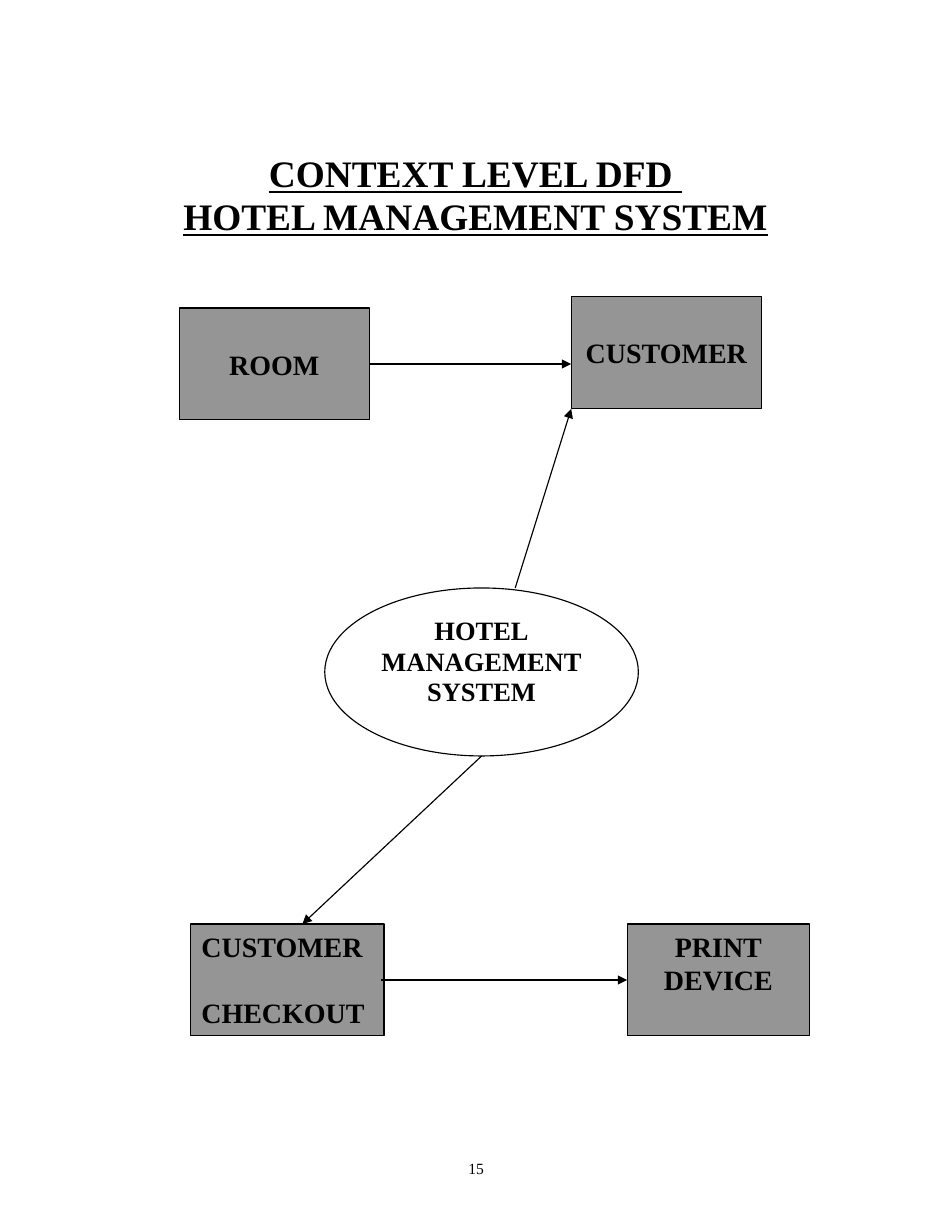
import pptx
import pptx.util
import pptx.dml.color
import pptx.enum.shapes
import pptx.enum.text
import pptx.oxml
import pptx.oxml.ns

FONT = "Times New Roman"
BLACK, GREY, WHITE = "000000", "959595", "FFFFFF"
COLS, ROWS = 85, 110
SHAPE = pptx.enum.shapes.MSO_SHAPE
ALIGN = pptx.enum.text.PP_ALIGN
ANCHOR = pptx.enum.text.MSO_ANCHOR

prs = pptx.Presentation()
prs.slide_width = pptx.util.Inches(8.5)
prs.slide_height = pptx.util.Inches(11)


def rgb(value):
    return pptx.dml.color.RGBColor.from_string(value)


def grid(col, row):
    return round(prs.slide_width * col / COLS), round(prs.slide_height * row / ROWS)


def write(sp, text, size=18, bold=True, underline=False, align=ALIGN.CENTER,
          anchor=ANCHOR.MIDDLE, spacing=None, gap=0, insets=(0, 0, 0, 0), wrap=False):
    tf = sp.text_frame
    tf.word_wrap = wrap
    tf.auto_size = pptx.enum.text.MSO_AUTO_SIZE.NONE
    tf.vertical_anchor = anchor
    tf.margin_left, tf.margin_top, tf.margin_right, tf.margin_bottom = (
        pptx.util.Inches(v) for v in insets)
    for i, line in enumerate(text.split("\n")):
        p = tf.add_paragraph() if i else tf.paragraphs[0]
        p.alignment = align
        p.space_before = pptx.util.Pt(gap if i else 0)
        if spacing:
            p.line_spacing = spacing
        r = p.add_run()
        r.text = line
        f = r.font
        f.name, f.size, f.bold, f.underline = FONT, pptx.util.Pt(size), bold, underline
        f.color.rgb = rgb(BLACK)


def node(s, kind, box, fill, text, **fmt):
    col, row, width, height = box
    sp = s.shapes.add_shape(kind, *grid(col, row), *grid(width, height))
    sp.shadow.inherit = False
    sp.fill.solid()
    sp.fill.fore_color.rgb = rgb(fill)
    sp.line.color.rgb = rgb(BLACK)
    sp.line.width = pptx.util.Pt(0.75)
    write(sp, text, wrap=True, **fmt)


def arrow(s, start, end):
    c = s.shapes.add_connector(pptx.enum.shapes.MSO_CONNECTOR.STRAIGHT,
                               *grid(*start), *grid(*end))
    c.line.color.rgb = rgb(BLACK)
    c.line.width = pptx.util.Pt(0.75)
    ns = pptx.oxml.ns.nsdecls("a")
    c.line._get_or_add_ln().append(
        pptx.oxml.parse_xml(f'<a:tailEnd {ns} type="triangle"/>'))
    c._element.spPr.append(pptx.oxml.parse_xml(f"<a:effectLst {ns}/>"))


def heading(s, box):
    col, row, width, height = box
    sp = s.shapes.title
    sp.left, sp.top = grid(col, row)
    sp.width, sp.height = grid(width, height)
    write(sp, "CONTEXT LEVEL DFD \nHOTEL MANAGEMENT SYSTEM", size=24, underline=True,
          anchor=ANCHOR.TOP, spacing=pptx.util.Pt(27.6), insets=(0, 0.04, 0, 0))


def diagram(s, box):
    left, top = box

    def at(col, row, *size):
        return (left + col, top + row, *size)

    line = pptx.util.Pt(21)
    lower = dict(anchor=ANCHOR.TOP, spacing=line)
    node(s, SHAPE.RECTANGLE, at(35, 0, 17, 10), GREY, "CUSTOMER")
    node(s, SHAPE.RECTANGLE, at(0, 1, 17, 10), GREY, "ROOM")
    node(s, SHAPE.RECTANGLE, at(1, 56, 17.3, 10), GREY, "CUSTOMER\nCHECKOUT",
         align=ALIGN.LEFT, gap=21, insets=(0.1, 0.06, 0, 0), **lower)
    node(s, SHAPE.RECTANGLE, at(40, 56, 16.3, 10), GREY, "PRINT\nDEVICE",
         insets=(0, 0.06, 0, 0), **lower)
    node(s, SHAPE.OVAL, at(13, 26, 28, 15), WHITE, "HOTEL\nMANAGEMENT\nSYSTEM",
         size=17, spacing=0.97, insets=(0, 0, 0, 0.18))
    for start, end in (((17, 6), (35, 6)), ((30, 26), (35, 10)),
                       ((27, 41), (11, 56)), ((18, 61), (40, 61))):
        arrow(s, at(*start), at(*end))


def page_number(s, box):
    col, row, width, height = box
    sp = s.shapes.add_textbox(*grid(col, row), *grid(width, height))
    write(sp, "15", size=10, bold=False)


s = prs.slides.add_slide(prs.slide_layouts[5])
heading(s, (16.1, 13.2, 52.7, 8.1))
diagram(s, (16, 26.5))
page_number(s, (41.4, 103.5, 2.2, 1.7))
prs.save("out.pptx")
